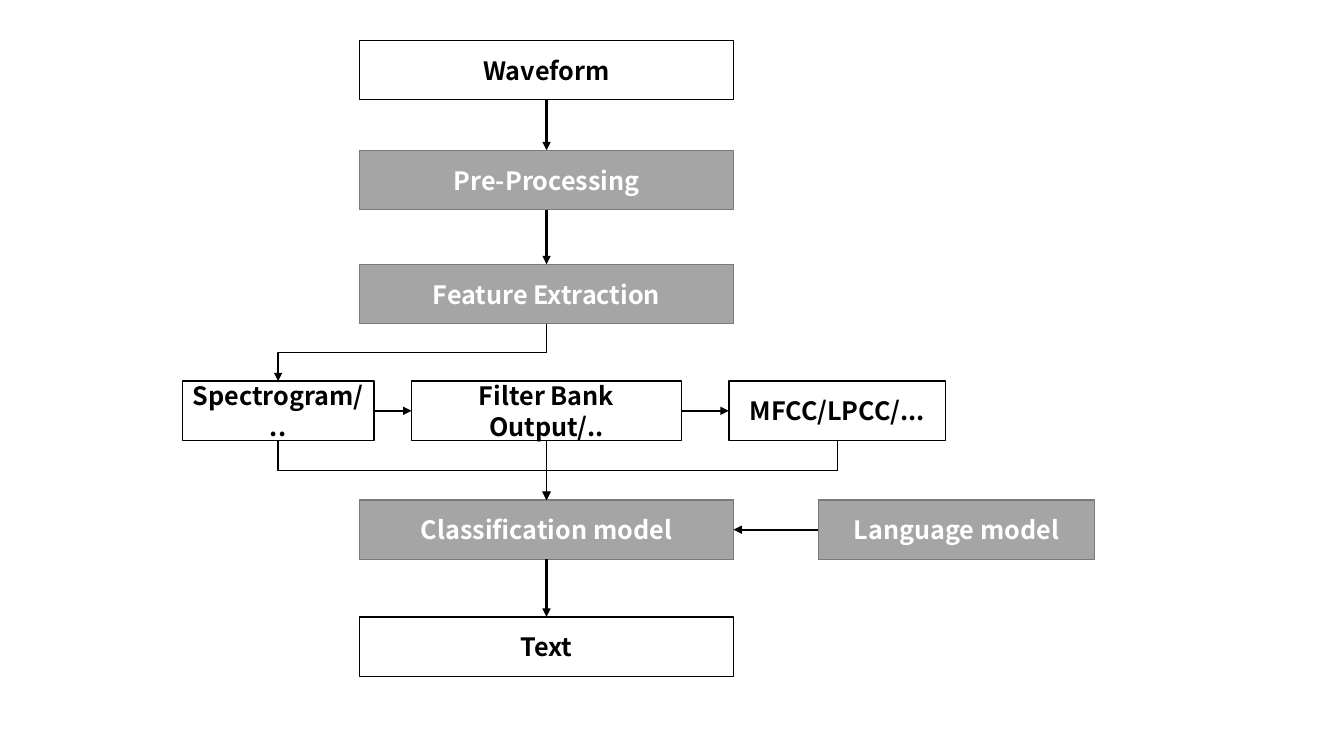
from lxml import etree
from pptx import Presentation
from pptx.dml.color import RGBColor
from pptx.enum.shapes import MSO_CONNECTOR, MSO_SHAPE
from pptx.enum.text import MSO_ANCHOR, PP_ALIGN
from pptx.oxml.ns import qn
from pptx.util import Pt

RECTANGLE = MSO_SHAPE.RECTANGLE
STRAIGHT, ELBOW = MSO_CONNECTOR.STRAIGHT, MSO_CONNECTOR.ELBOW
CENTER, MIDDLE = PP_ALIGN.CENTER, MSO_ANCHOR.MIDDLE
TOP, LEFT, BOTTOM, RIGHT = range(4)  # connection sites of a rectangle

FONT = "Noto Sans CJK SC"
COLORS = {"gray": "A5A5A5", "gray_line": "7A7A7A", "white": "FFFFFF", "black": "000000"}
DATA = ("white", "black", "black")  # fill, line, text
PROCESS = ("gray", "gray_line", "white")
BOX_HEIGHT = 42.5


def color(name):
    """Return the named colour."""
    return RGBColor.from_string(COLORS[name])


def add_box(slide, text, style, left, top, width):
    """Add one labelled box in the given style."""
    fill, line, ink = style
    shape = slide.shapes.add_shape(RECTANGLE, Pt(left), Pt(top), Pt(width), Pt(BOX_HEIGHT))
    shape.shadow.inherit = False
    shape.fill.solid()
    shape.fill.fore_color.rgb = color(fill)
    shape.line.color.rgb = color(line)
    shape.line.width = Pt(1)
    shape.text_frame.text = text
    shape.text_frame.vertical_anchor = MIDDLE
    paragraph = shape.text_frame.paragraphs[0]
    paragraph.alignment = CENTER
    font = paragraph.runs[0].font
    font.name, font.size, font.bold = FONT, Pt(18), True
    font.color.rgb = color(ink)
    return shape


def add_arrow(slide, source, target, start=BOTTOM, end=TOP, weight=1.0, kind=STRAIGHT):
    """Connect two boxes with an arrow that points at the target."""
    connector = slide.shapes.add_connector(kind, 0, 0, 0, 0)
    connector.begin_connect(source, start)
    connector.end_connect(target, end)
    connector.line.color.rgb = color("black")
    connector.line.width = Pt(weight)
    properties = connector._element.spPr
    line = properties.find(qn("a:ln"))
    etree.SubElement(line, qn("a:tailEnd"), type="triangle")
    etree.SubElement(properties, qn("a:effectLst"))
    return connector


def add_bent_arrow(slide, source, target):
    """Connect bottom to top by a path that runs down, across and down."""
    connector = add_arrow(slide, source, target, kind=ELBOW)
    rightward = connector.end_x > connector.begin_x
    across, down = connector.width, connector.height
    middle_x = connector.left + across // 2
    middle_y = connector.top + down // 2
    connector.left, connector.top = middle_x - down // 2, middle_y - across // 2
    connector.width, connector.height = down, across
    frame = connector._element.spPr.find(qn("a:xfrm"))
    frame.set("rot", str((270 if rightward else 90) * 60000))
    frame.set("flipH", "1" if rightward else "0")
    frame.set("flipV", "0")


def draw_stages(slide, left, top, width):
    """Draw the main column and return its boxes by name."""
    stages = [
        ("Waveform", DATA, 0),
        ("Pre-Processing", PROCESS, 78.5),
        ("Feature Extraction", PROCESS, 160),
        ("Classification model", PROCESS, 328.3),
        ("Text", DATA, 411.8),
    ]
    boxes = {text: add_box(slide, text, style, left, top + offset, width)
             for text, style, offset in stages}
    column = list(boxes.values())
    for index in (0, 1, 3):
        add_arrow(slide, column[index], column[index + 1], weight=1.5)
    return boxes


def draw_features(slide, left, top, extraction, classifier):
    """Draw the row of features between extraction and classification."""
    features = [
        ("Spectrogram/..", 0, 137),
        ("Filter Bank Output/..", 163.7, 193),
        ("MFCC/LPCC/...", 390.4, 155),
    ]
    spectrogram, filter_bank, cepstrum = [
        add_box(slide, text, DATA, left + offset, top, width)
        for text, offset, width in features]
    add_bent_arrow(slide, extraction, spectrogram)
    add_arrow(slide, spectrogram, filter_bank, RIGHT, LEFT)
    add_arrow(slide, filter_bank, cepstrum, RIGHT, LEFT)
    add_arrow(slide, filter_bank, classifier)
    for feature in (spectrogram, cepstrum):
        add_bent_arrow(slide, feature, classifier)


def draw_language_model(slide, left, top, width, classifier):
    """Draw the language model that feeds the classifier."""
    model = add_box(slide, "Language model", PROCESS, left, top, width)
    add_arrow(slide, model, classifier, LEFT, RIGHT, 1.5)


def main():
    """Build and save the speech recognition flowchart."""
    presentation = Presentation()
    presentation.slide_width, presentation.slide_height = Pt(960), Pt(540)
    slide = presentation.slides.add_slide(presentation.slide_layouts[6])
    stages = draw_stages(slide, 256.9, 28.8, 267)
    classifier = stages["Classification model"]
    draw_features(slide, 130.2, 272.2, stages["Feature Extraction"], classifier)
    draw_language_model(slide, 584.6, 357.1, 197.3, classifier)
    presentation.save("out.pptx")


main()
